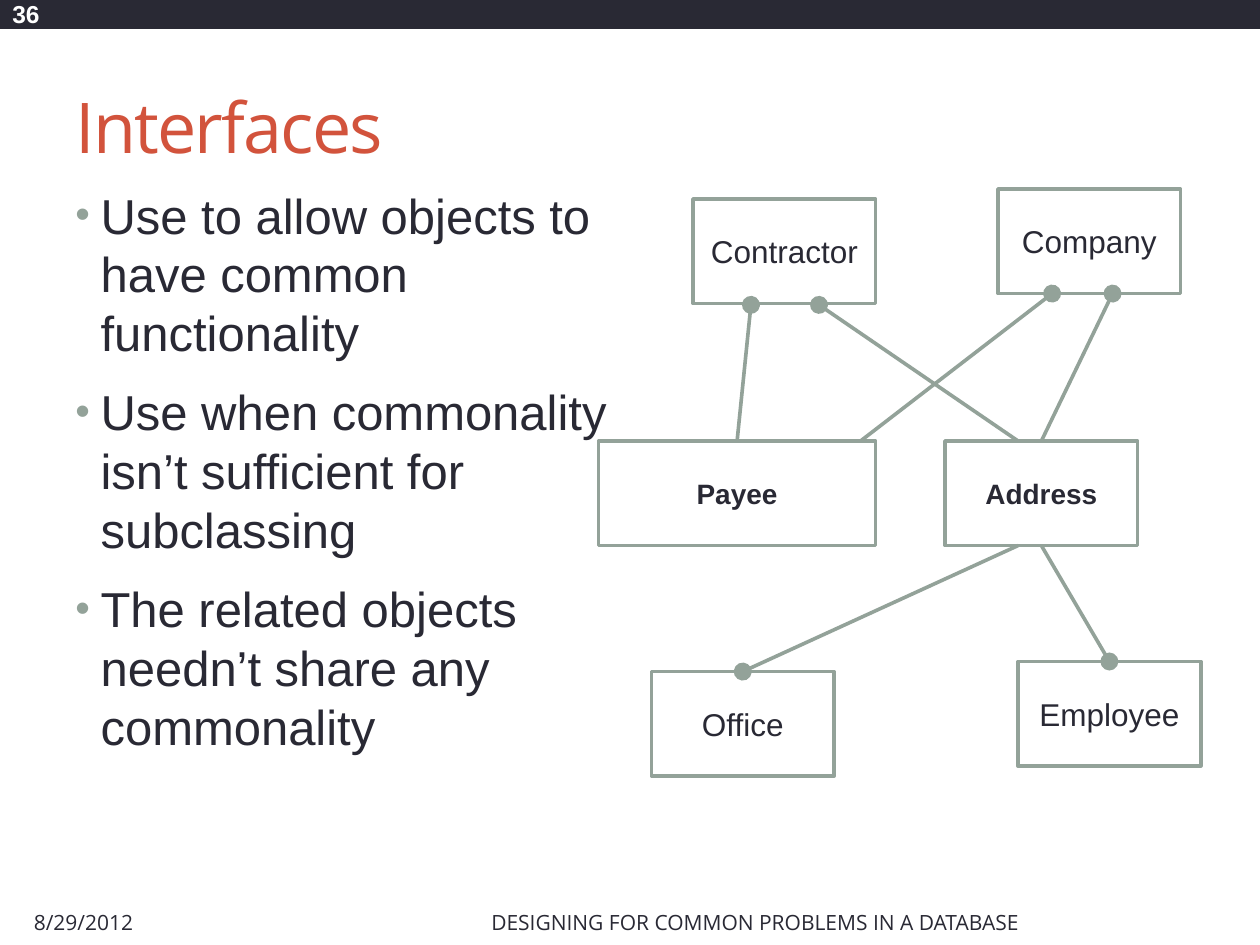
from lxml import etree
from pptx import Presentation
from pptx.dml.color import RGBColor
from pptx.enum import shapes, text
from pptx.oxml.ns import qn
from pptx.util import Inches, Pt

INK, SAGE, WHITE, RED = "292934", "93A299", "FFFFFF", "D2533C"
LEFT, CENTER = text.PP_ALIGN.LEFT, text.PP_ALIGN.CENTER
MIDDLE, TOP = text.MSO_ANCHOR.MIDDLE, text.MSO_ANCHOR.TOP

BULLETS = [
    "Use to allow objects to have common functionality",
    "Use when commonality isn’t sufficient for subclassing",
    "The related objects needn’t share any commonality",
]
OBJECTS = {
    "Contractor": (5.5, 1.58),
    "Office": (5.17, 5.33),
    "Employee": (8.08, 5.25),
    "Company": (7.92, 1.5),
}
INTERFACES = {"Payee": (4.75, 3.5, 2.2), "Address": (7.5, 3.5, 1.53)}
LINKS = [
    ("Contractor", None, (5.96, 2.42), "Payee", 0, (5.85, 3.5)),
    ("Contractor", None, (6.5, 2.42), "Address", None, (8.08, 3.5)),
    ("Company", None, (8.35, 2.33), "Payee", None, (6.83, 3.5)),
    ("Company", None, (8.83, 2.33), "Address", 0, (8.26, 3.5)),
    ("Office", 0, (5.89, 5.33), "Address", None, (8.08, 4.33)),
    ("Employee", 0, (8.81, 5.25), "Address", 2, (8.26, 4.33)),
]


def color(value):
    return RGBColor.from_string(value)


def style(font, fill=INK, **values):
    for key, value in values.items():
        setattr(font, key, value)
    font.color.rgb = color(fill)


def write(sp, lines, anchor=MIDDLE, align=LEFT, **font):
    tf = sp.text_frame
    tf.word_wrap = True
    tf.vertical_anchor = anchor
    for i, line in enumerate(lines):
        p = tf.paragraphs[0] if i == 0 else tf.add_paragraph()
        p.alignment = align
        r = p.add_run()
        r.text = line
        style(r.font, **font)
    return tf


def add_text(s, at, lines, **options):
    sp = s.shapes.add_textbox(*map(Inches, at))
    return write(sp, lines, **options)


def add_title(s, title):
    sp = s.shapes.title
    sp.left, sp.top, sp.width, sp.height = map(Inches, (0.5, 0.58, 9, 0.83))
    tf = write(sp, [title], size=Pt(40), name="Open Sans", fill=RED)
    tf.paragraphs[0].runs[0].font._element.set("spc", "-100")


def add_bullets(s, at, lines):
    tf = add_text(s, at, lines, anchor=TOP, size=Pt(28), name="Arial")
    for i, p in enumerate(tf.paragraphs):
        pPr = p._p.get_or_add_pPr()
        pPr.set("marL", str(Inches(0.2)))
        pPr.set("indent", str(-Inches(0.2)))
        clr = etree.SubElement(pPr, qn("a:buClr"))
        etree.SubElement(clr, qn("a:srgbClr"), val=SAGE)
        etree.SubElement(pPr, qn("a:buSzPct"), val="85000")
        etree.SubElement(pPr, qn("a:buFont"), typeface="Arial")
        etree.SubElement(pPr, qn("a:buChar"), char="•")
        p.space_before = Pt(5.6 if i else 0)
        p.space_after = Pt(6)


def add_rect(s, at, fill, line=None):
    sp = s.shapes.add_shape(shapes.MSO_SHAPE.RECTANGLE, *map(Inches, at))
    sp.shadow.inherit = False
    sp.fill.solid()
    sp.fill.fore_color.rgb = color(fill)
    if line:
        sp.line.color.rgb = color(line)
        sp.line.width = Pt(2.08)
    else:
        sp.line.fill.background()
    return sp


def add_box(s, label, x, y, width=1.45, size=18, bold=False):
    sp = add_rect(s, (x, y, width, 0.83), WHITE, SAGE)
    write(sp, [label], align=CENTER, size=Pt(size), name="Arial", bold=bold)
    return sp


def add_link(s, boxes, source, source_site, start, target, target_site, end):
    c = s.shapes.add_connector(
        shapes.MSO_CONNECTOR.STRAIGHT, *map(Inches, start + end))
    if source_site is not None:
        c.begin_connect(boxes[source], source_site)
    if target_site is not None:
        c.end_connect(boxes[target], target_site)
    c.line.color.rgb = color(SAGE)
    c.line.width = Pt(2.08)
    etree.SubElement(c.line._get_or_add_ln(), qn("a:headEnd"),
                     type="oval", w="lg", len="lg")
    etree.SubElement(c._element.spPr, qn("a:effectLst"))


def main():
    prs = Presentation()
    prs.slide_width, prs.slide_height = Inches(10), Inches(7.5)
    s = prs.slides.add_slide(prs.slide_layouts[5])
    add_rect(s, (0, -0.01, 10, 0.24), INK)
    add_title(s, "Interfaces")
    add_bullets(s, (0.5, 1.42, 4.42, 5.57), BULLETS)
    footer = dict(size=Pt(12), name="Open Sans")
    add_text(s, (0.17, 7.14, 3.17, 0.36), ["8/29/2012"], **footer)
    add_text(s, (0, -0.02, 1.17, 0.25), ["36"],
             size=Pt(14), name="Arial", bold=True, fill=WHITE)
    add_text(s, (3.33, 7.14, 5.33, 0.36),
             ["DESIGNING FOR COMMON PROBLEMS IN A DATABASE"],
             align=CENTER, **footer)
    boxes = {label: add_box(s, label, *at) for label, at in OBJECTS.items()}
    for label, at in INTERFACES.items():
        boxes[label] = add_box(s, label, *at, size=16, bold=True)
    for link in LINKS:
        add_link(s, boxes, *link)
    prs.save("out.pptx")


if __name__ == "__main__":
    main()
